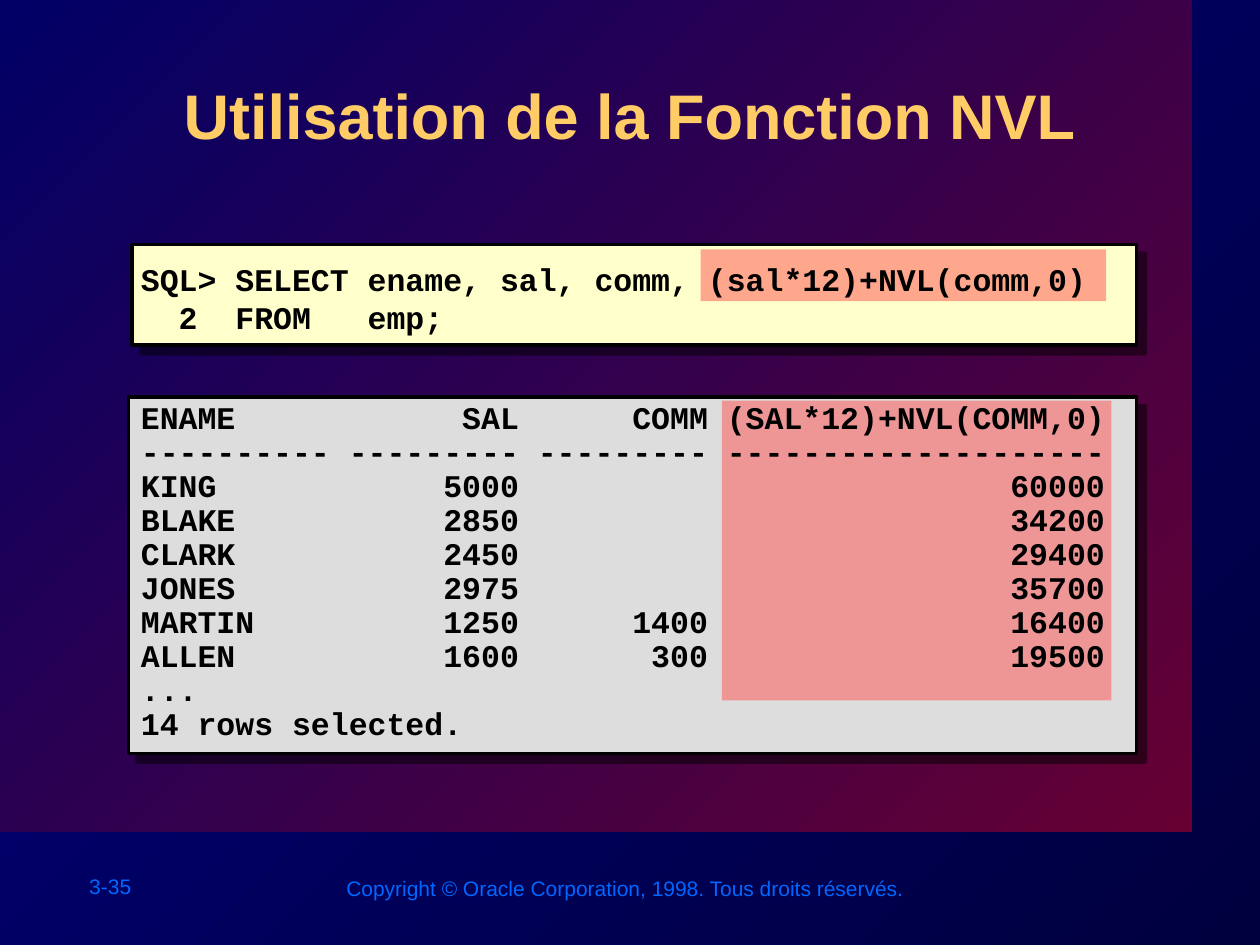
from lxml import etree
from pptx import Presentation
from pptx.dml.color import RGBColor
from pptx.enum.shapes import MSO_SHAPE as Shape
from pptx.enum.text import MSO_ANCHOR as Anchor, MSO_AUTO_SIZE as AutoSize, PP_ALIGN as Align
from pptx.oxml.ns import qn
from pptx.util import Inches, Pt

BLACK = RGBColor(0x00, 0x00, 0x00)
NIGHT = RGBColor(0x00, 0x00, 0x3F)
NAVY = RGBColor(0x00, 0x00, 0x80)
WINE = RGBColor(0x66, 0x00, 0x33)
INDIGO = RGBColor(0x00, 0x00, 0x66)
GOLD = RGBColor(0xFF, 0xCC, 0x66)
SKY = RGBColor(0x00, 0x66, 0xFF)
CREAM = RGBColor(0xFF, 0xFF, 0xCC)
SILVER = RGBColor(0xDD, 0xDD, 0xDD)
CORAL = RGBColor(0xFF, 0x50, 0x50)

QUERY = [
    "SQL> SELECT ename, sal, comm, (sal*12)+NVL(comm,0)",
    "  2  FROM   emp;",
]
EMPLOYEES = [
    ("ENAME", "SAL", "COMM", "(SAL*12)+NVL(COMM,0)"),
    ("-" * 10, "-" * 9, "-" * 9, "-" * 20),
    ("KING", 5000, "", 60000),
    ("BLAKE", 2850, "", 34200),
    ("CLARK", 2450, "", 29400),
    ("JONES", 2975, "", 35700),
    ("MARTIN", 1250, 1400, 16400),
    ("ALLEN", 1600, 300, 19500),
]
RESULT = [f"{name:<10} {sal:>9} {comm:>9} {total:>20}" for name, sal, comm, total in EMPLOYEES]
RESULT += ["...", "14 rows selected."]


def inches(box):
    return [Inches(length) for length in box]


def paint_gradient(fill, start, end):
    fill.gradient()
    fill.gradient_angle = 135
    for stop, color in zip(fill.gradient_stops, (start, end)):
        stop.color.rgb = color


def cast_shadow(effects):
    shadow = etree.SubElement(effects, qn("a:outerShdw"), dist=str(Pt(7.1)),
                              dir="2700000", algn="ctr", rotWithShape="0")
    color = etree.SubElement(shadow, qn("a:srgbClr"), val=str(BLACK))
    etree.SubElement(color, qn("a:alpha"), val="50000")


def style_font(paragraph, name, size, color, bold=False):
    for run in paragraph.runs:
        run.font.name, run.font.size, run.font.bold = name, Pt(size), bold
        run.font.color.rgb = color


def add_rectangle(slide, box):
    rectangle = slide.shapes.add_shape(Shape.RECTANGLE, *inches(box))
    rectangle.shadow.inherit = False
    rectangle.line.fill.background()
    return rectangle


def add_backdrop(slide, box):
    paint_gradient(slide.background.fill, NIGHT, NAVY)
    paint_gradient(add_rectangle(slide, box).fill, WINE, INDIGO)


def add_code_panel(slide, box, color):
    panel = add_rectangle(slide, box)
    panel.fill.solid()
    panel.fill.fore_color.rgb = color
    panel.line.color.rgb = BLACK
    panel.line.width = Pt(2)
    cast_shadow(panel._element.spPr.find(qn("a:effectLst")))


def add_highlight(slide, box):
    highlight = add_rectangle(slide, box)
    highlight.fill.solid()
    highlight.fill.fore_color.rgb = CORAL
    tint = highlight._element.spPr.find(qn("a:solidFill"))[0]
    etree.SubElement(tint, qn("a:alpha"), val="50000")


def add_code(slide, box, lines, anchor=Anchor.TOP, spacing=1.0, wrap=True):
    frame = slide.shapes.add_textbox(*inches(box)).text_frame
    frame.word_wrap = wrap
    frame.vertical_anchor = anchor
    frame.text = "\n".join(lines)
    for paragraph in frame.paragraphs:
        paragraph.line_spacing = spacing
        style_font(paragraph, "Courier New", 18, BLACK, bold=True)


def add_footer(slide, box, words):
    frame = slide.shapes.add_textbox(*inches(box)).text_frame
    frame.word_wrap = False
    frame.text = words
    style_font(frame.paragraphs[0], "Arial", 12, SKY)


def place_title(slide, box, words):
    title = slide.shapes.title
    title.left, title.top, title.width, title.height = inches(box)
    frame = title.text_frame
    frame.text = words
    frame.auto_size = AutoSize.NONE
    frame.vertical_anchor = Anchor.TOP
    heading = frame.paragraphs[0]
    heading.alignment = Align.CENTER
    style_font(heading, "Arial", 36, GOLD, bold=True)
    effects = etree.Element(qn("a:effectLst"))
    cast_shadow(effects)
    heading.runs[0]._r.rPr.find(qn("a:solidFill")).addnext(effects)
    title._element.getparent().append(title._element)


def main():
    deck = Presentation()
    deck.slide_width, deck.slide_height = Inches(10), Inches(7.5)
    slide = deck.slides.add_slide(deck.slide_layouts[5])
    add_backdrop(slide, (0, 0, 9.46, 6.6))
    add_footer(slide, (0.61, 6.88, 1.11, 0.3), "3-35")
    add_footer(slide, (2.65, 6.9, 4.66, 0.3),
               "Copyright © Oracle Corporation, 1998. Tous droits réservés.")
    add_code_panel(slide, (1.05, 1.94, 7.97, 0.8), CREAM)
    add_code_panel(slide, (1.02, 3.15, 8, 2.83), SILVER)
    add_highlight(slide, (5.56, 1.98, 3.22, 0.41))
    add_highlight(slide, (5.73, 3.18, 3.09, 2.38))
    add_code(slide, (1.02, 1.82, 8, 1.09), QUERY, Anchor.MIDDLE, wrap=False)
    place_title(slide, (1.01, 0.56, 7.98, 0.96), "Utilisation de la Fonction NVL")
    add_code(slide, (1.02, 3.14, 7.97, 2.8), RESULT, spacing=0.9)
    deck.save("out.pptx")


if __name__ == "__main__":
    main()
